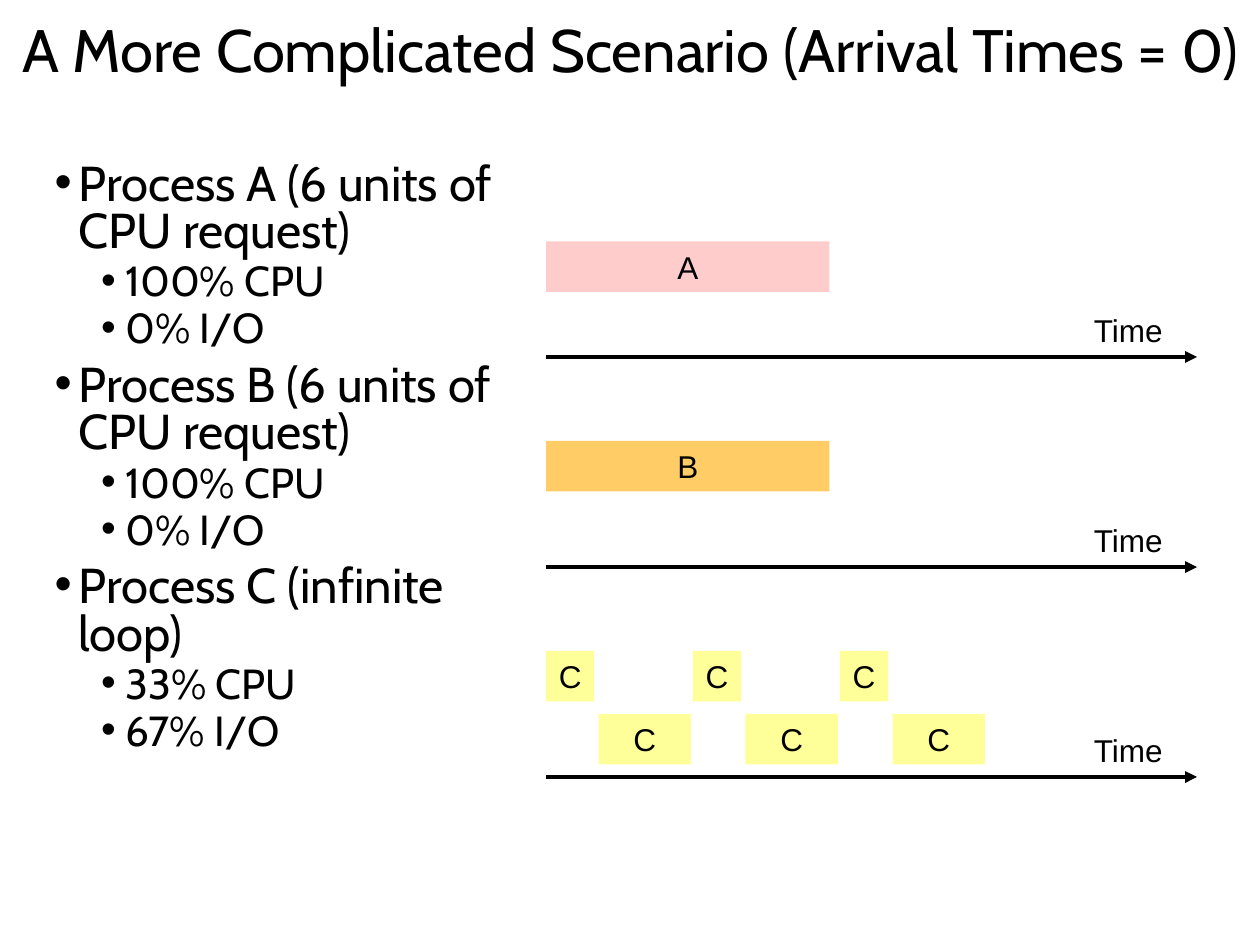
from dataclasses import dataclass

from lxml import etree
from pptx import Presentation
from pptx import util as u
from pptx.dml.color import RGBColor
from pptx.enum import shapes, text
from pptx.oxml.ns import qn

COLUMNS, ROWS = 120, 90
BAR_HEIGHT = 4.8
AXIS_START, AXIS_END = 52, 114
BLACK = "000000"

presentation = Presentation()
presentation.slide_width = u.Inches(10)
presentation.slide_height = u.Inches(7.5)


@dataclass
class Process:
    heading: str
    details: tuple[str, ...]


@dataclass
class Bar:
    label: str
    column: float
    row: float
    width: float
    colour: str


@dataclass
class Timeline:
    axis_row: float
    bars: list[Bar]


def x(columns: float) -> int:
    return round(presentation.slide_width * columns / COLUMNS)


def y(rows: float) -> int:
    return round(presentation.slide_height * rows / ROWS)


def colour(value: str) -> RGBColor:
    return RGBColor.from_string(value)


def add_run(paragraph, words: str, size: float, font_name: str) -> None:
    run = paragraph.add_run()
    run.text = words
    run.font.size = u.Pt(size)
    run.font.name = font_name
    run.font.color.rgb = colour(BLACK)


def place(shape, column: float, row: float, width: float, height: float) -> None:
    shape.left, shape.top = x(column), y(row)
    shape.width, shape.height = x(width), y(height)


def add_title(slide, words: str) -> None:
    title = slide.shapes.title
    place(title, 0, 0, COLUMNS, 10.2)
    frame = title.text_frame
    frame.auto_size = text.MSO_AUTO_SIZE.NONE
    frame.vertical_anchor = text.MSO_ANCHOR.MIDDLE
    frame.margin_left = frame.margin_right = u.Inches(0.05)
    paragraph = frame.paragraphs[0]
    paragraph.alignment = text.PP_ALIGN.CENTER
    paragraph.line_spacing = 0.9
    add_run(paragraph, words, 34.2, "Cabin")


def add_bullet(paragraph, words: str, level: int) -> None:
    paragraph.level = level
    paragraph.line_spacing = 0.8
    paragraph.space_before = u.Pt((7.5, 3.8)[level])
    properties = paragraph._p.get_or_add_pPr()
    properties.set("marL", str(u.Inches((0.19, 0.56)[level])))
    properties.set("indent", str(u.Inches(-0.19)))
    etree.SubElement(properties, qn("a:buFont")).set("typeface", "Arial")
    etree.SubElement(properties, qn("a:buChar")).set("char", "•")
    add_run(paragraph, words, (28, 24)[level], "Cabin")


def add_list(slide, processes: list[Process]) -> None:
    body = slide.placeholders[1]
    place(body, 4, 15, 47.8, 60)
    frame = body.text_frame
    frame.auto_size = text.MSO_AUTO_SIZE.NONE
    lines = [
        (words, level)
        for process in processes
        for words, level in [(process.heading, 0), *((detail, 1) for detail in process.details)]
    ]
    for index, (words, level) in enumerate(lines):
        paragraph = frame.add_paragraph() if index else frame.paragraphs[0]
        add_bullet(paragraph, words, level)


def add_bar(group, bar: Bar) -> None:
    shape = group.shapes.add_shape(
        shapes.MSO_SHAPE.RECTANGLE, x(bar.column), y(bar.row), x(bar.width), y(BAR_HEIGHT))
    shape.shadow.inherit = False
    shape.fill.solid()
    shape.fill.fore_color.rgb = colour(bar.colour)
    shape.line.fill.background()
    frame = shape.text_frame
    frame.word_wrap = True
    frame.vertical_anchor = text.MSO_ANCHOR.TOP
    paragraph = frame.paragraphs[0]
    paragraph.alignment = text.PP_ALIGN.CENTER
    add_run(paragraph, bar.label, 18, "Arial")


def add_axis(group, row: float) -> None:
    axis = group.shapes.add_connector(
        shapes.MSO_CONNECTOR.STRAIGHT, x(AXIS_START), y(row), x(AXIS_END), y(row))
    axis.line.color.rgb = colour(BLACK)
    axis.line.width = u.Pt(2.25)
    etree.SubElement(axis.line._get_or_add_ln(), qn("a:tailEnd")).set("type", "triangle")
    etree.SubElement(axis._element.spPr, qn("a:effectLst"))
    label = group.shapes.add_textbox(x(103), y(row - 5), x(9.1), y(BAR_HEIGHT))
    label.text_frame.word_wrap = False
    add_run(label.text_frame.paragraphs[0], "Time", 18, "Arial")


def add_timeline(slide, timeline: Timeline) -> None:
    group = slide.shapes.add_group_shape()
    for bar in timeline.bars:
        add_bar(group, bar)
    add_axis(group, timeline.axis_row)


def build() -> None:
    slide = presentation.slides.add_slide(presentation.slide_layouts[1])
    add_title(slide, "A More Complicated Scenario (Arrival Times = 0)")
    add_list(slide, [
        Process("Process A (6 units of CPU request)", ("100% CPU", "0% I/O")),
        Process("Process B (6 units of CPU request)", ("100% CPU", "0% I/O")),
        Process("Process C (infinite loop)", ("33% CPU", "67% I/O")),
    ])
    cycle_starts = [AXIS_START + 14 * cycle for cycle in range(3)]
    cpu_bursts = [Bar("C", start, 62, 4.6, "FFFF99") for start in cycle_starts]
    io_bursts = [Bar("C", start + 5, 68, 8.8, "FFFF99") for start in cycle_starts]
    for timeline in (
        Timeline(34, [Bar("A", AXIS_START, 23, 27, "FFCCCC")]),
        Timeline(54, [Bar("B", AXIS_START, 42, 27, "FFCC66")]),
        Timeline(74, cpu_bursts + io_bursts),
    ):
        add_timeline(slide, timeline)
    presentation.save("out.pptx")


if __name__ == "__main__":
    build()
